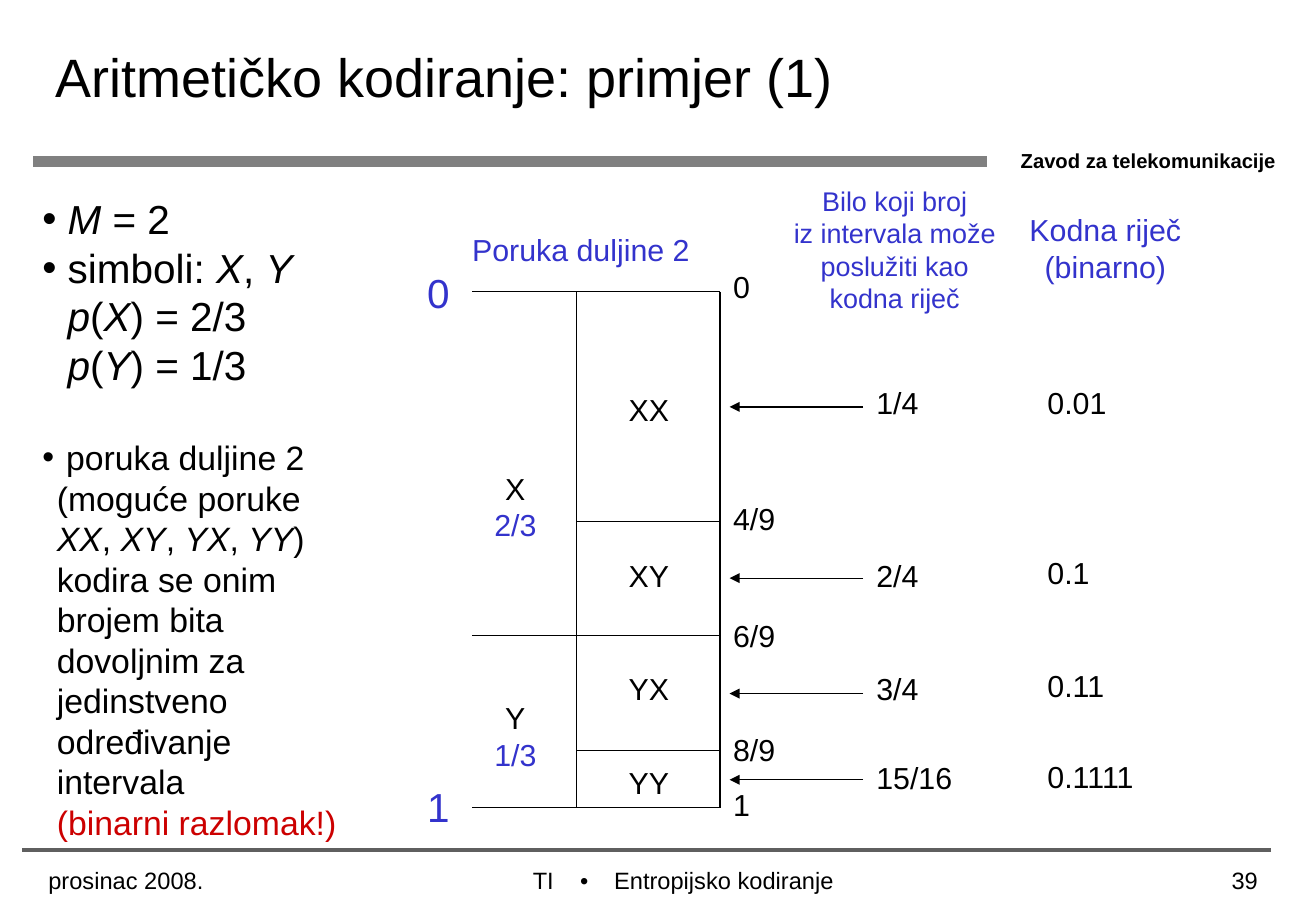
from pptx import Presentation
from pptx.dml.color import RGBColor as Rgb
from pptx.enum.shapes import MSO_CONNECTOR as Conn
from pptx.enum.text import MSO_ANCHOR as Anchor, PP_ALIGN as Align
from pptx.oxml.ns import qn
from pptx.util import Inches, Pt
from lxml.etree import SubElement as Sub

HUES = {"ink": "000000", "blue": "3333CC", "red": "CC0000",
        "bar": "808080", "rule": "5F5F5F"}
LEAD = 1.2


class Deck:
    def __init__(self, wide, high):
        self.prs = Presentation()
        self.prs.slide_width = Inches(wide)
        self.prs.slide_height = Inches(high)
        self.slide = self.prs.slides.add_slide(self.prs.slide_layouts[5])
        self.font = "Arial"

    def style(self, para, size, hue="ink", bold=False):
        para.line_spacing = Pt(LEAD * size)
        for run in para.runs:
            run.font.name = self.font
            run.font.size = Pt(size)
            run.font.bold = bold
            run.font.color.rgb = Rgb.from_string(HUES[hue])

    def title(self, text, x, y, w, h):
        box = self.slide.shapes.title
        box.left, box.top, box.width, box.height = map(Inches, (x, y, w, h))
        frame = box.text_frame
        frame.text = text
        frame.vertical_anchor = Anchor.MIDDLE
        para = frame.paragraphs[0]
        para.alignment = Align.LEFT
        self.style(para, 32)

    def text(self, text, x, y, w, h, size, hues=("ink",), align=Align.LEFT,
             bold=False, wrap=False):
        box = self.slide.shapes.add_textbox(*map(Inches, (x, y, w, h)))
        frame = box.text_frame
        frame.word_wrap = wrap
        frame.text = text
        for i, para in enumerate(frame.paragraphs):
            para.alignment = align
            self.style(para, size, hues[min(i, len(hues) - 1)], bold)
        return frame

    def column(self, marks, x, y, w, h, size=18):
        frame = self.text("\n".join(marks), x, y, w, h, size, wrap=True)
        mids = list(marks.values())
        for para, last, mid in zip(frame.paragraphs[1:], mids, mids[1:]):
            para.space_before = Pt(round((mid - last) * 72 - LEAD * size, 1))

    def bullets(self, items, x, y, w, h):
        frame = self.text("", x, y, w, h, 24, wrap=True)
        for i, (text, size, dent, gap) in enumerate(items):
            para = frame.add_paragraph() if i else frame.paragraphs[0]
            props = para._p.get_or_add_pPr()
            props.set("marL", str(Inches(dent)))
            props.set("indent", str(-Inches(dent)))
            Sub(props, qn("a:buFont")).set("typeface", self.font)
            Sub(props, qn("a:buChar")).set("char", "•")
            for j, part in enumerate(text.split("*")):
                for k, line in enumerate(part.split("\v")):
                    if k:
                        para.add_line_break()
                    if line:
                        run = para.add_run()
                        run.text = line
                        run.font.italic = j % 2 == 1
            self.style(para, size)
            if gap:
                para.space_before = Pt(gap)
        return frame

    def tabs(self, para, stops):
        tabs = Sub(para._p.get_or_add_pPr(), qn("a:tabLst"))
        for stop in stops:
            tab = Sub(tabs, qn("a:tab"))
            tab.set("pos", str(Inches(stop)))
            tab.set("algn", "l")

    def line(self, x1, y1, x2, y2, width=0.75, hue="ink", head=False):
        line = self.slide.shapes.add_connector(
            Conn.STRAIGHT, *map(Inches, (x1, y1, x2, y2)))
        line.line.width = Pt(width)
        line.line.color.rgb = Rgb.from_string(HUES[hue])
        if head:
            Sub(line.line._get_or_add_ln(), qn("a:tailEnd")).set("type", "triangle")
        Sub(line._element.spPr, qn("a:effectLst"))


def main():
    deck = Deck(10.84, 7.5)
    deck.line(8.13, 1.33, 0.27, 1.33, 6, "bar")
    deck.text("Zavod za telekomunikacije", 8.31, 1.17, 2.53, 0.3, 12, bold=True)
    deck.line(10.47, 7, 0.18, 7, 2.25, "rule")
    deck.title("Aritmetičko kodiranje: primjer (1)", 0.36, 0, 9.21, 1.25)

    body = deck.bullets([
        ("*M* = 2", 24, 0.21, 0),
        ("simboli: *X*, *Y\vp*(*X*) = 2/3\v*p*(*Y*) = 1/3", 24, 0.21, 0),
        (" poruka duljine 2 (moguće poruke *XX*, *XY*, *YX*, *YY*) kodira se "
         "onim brojem bita dovoljnim za jedinstveno određivanje intervala"
         "\v(binarni razlomak!)", 20, 0.12, 28.8),
    ], 0.25, 1.55, 2.73, 5.44)
    body.paragraphs[-1].runs[-1].font.color.rgb = Rgb.from_string(HUES["red"])

    left, mid, right, top, base = 3.89, 4.75, 5.93, 2.4, 6.65
    for x, ninth, width in ((left, 0, 0.5), (left, 9, 0.5), (mid, 4, 0.5),
                            (left, 6, 0.75), (mid, 8, 0.75)):
        y = round(top + (base - top) * ninth / 9, 2)
        deck.line(x, y, right, y, width)
    for x in (mid, right):
        deck.line(x, top, x, base)
    for y in (3.35, 4.76, 5.71, 6.42):
        deck.line(7.11, y, 6.01, y, head=True)

    for end, y in (("0", 2.16), ("1", 6.39)):
        deck.text(end, 3.42, y, 0.38, 0.5, 24, ("blue",))
    for odds, y in (("X\n2/3", 3.82), ("Y\n1/3", 5.71)):
        deck.text(odds, 3.97, y, 0.55, 0.7, 18, ("ink", "blue"), Align.CENTER)

    deck.column({"XX": 3.39, "XY": 4.76, "YX": 5.69, "YY": 6.46},
                5.08, 3.17, 0.6, 3.47)
    deck.column({"0": 2.38, "4/9": 4.29, "6/9": 5.25, "8/9": 6.19, "1": 6.64},
                5.94, 2.16, 0.6, 4.65)
    deck.column({"1/4": 3.34, "2/4": 4.77, "3/4": 5.7, "15/16": 6.43},
                7.12, 3.11, 0.9, 3.5)
    deck.column({"0.01": 3.33, "0.1": 4.73, "0.11": 5.66, "0.1111": 6.41},
                8.53, 3.11, 1, 3.49)

    deck.text("Poruka duljine 2", 3.79, 1.85, 1.99, 0.4, 18, ("blue",))
    deck.text("Bilo koji broj\niz intervala može\nposlužiti kao\nkodna riječ",
              6.41, 1.47, 1.92, 1.17, 16, ("blue",), Align.CENTER)
    deck.text("Kodna riječ\n(binarno)", 8.38, 1.69, 1.45, 0.7, 18, ("blue",),
              Align.CENTER)

    foot = deck.text("TI\t•\tEntropijsko kodiranje", 4.29, 7.08, 2.72, 0.25, 14,
                     wrap=True)
    deck.tabs(foot.paragraphs[0], (0.39, 0.67))
    deck.text("39", 9.09, 7.08, 1.37, 0.42, 14, align=Align.RIGHT, wrap=True)
    deck.text("prosinac 2008.", 0.3, 7.08, 1.95, 0.42, 14, wrap=True)
    deck.prs.save("out.pptx")


if __name__ == "__main__":
    main()
